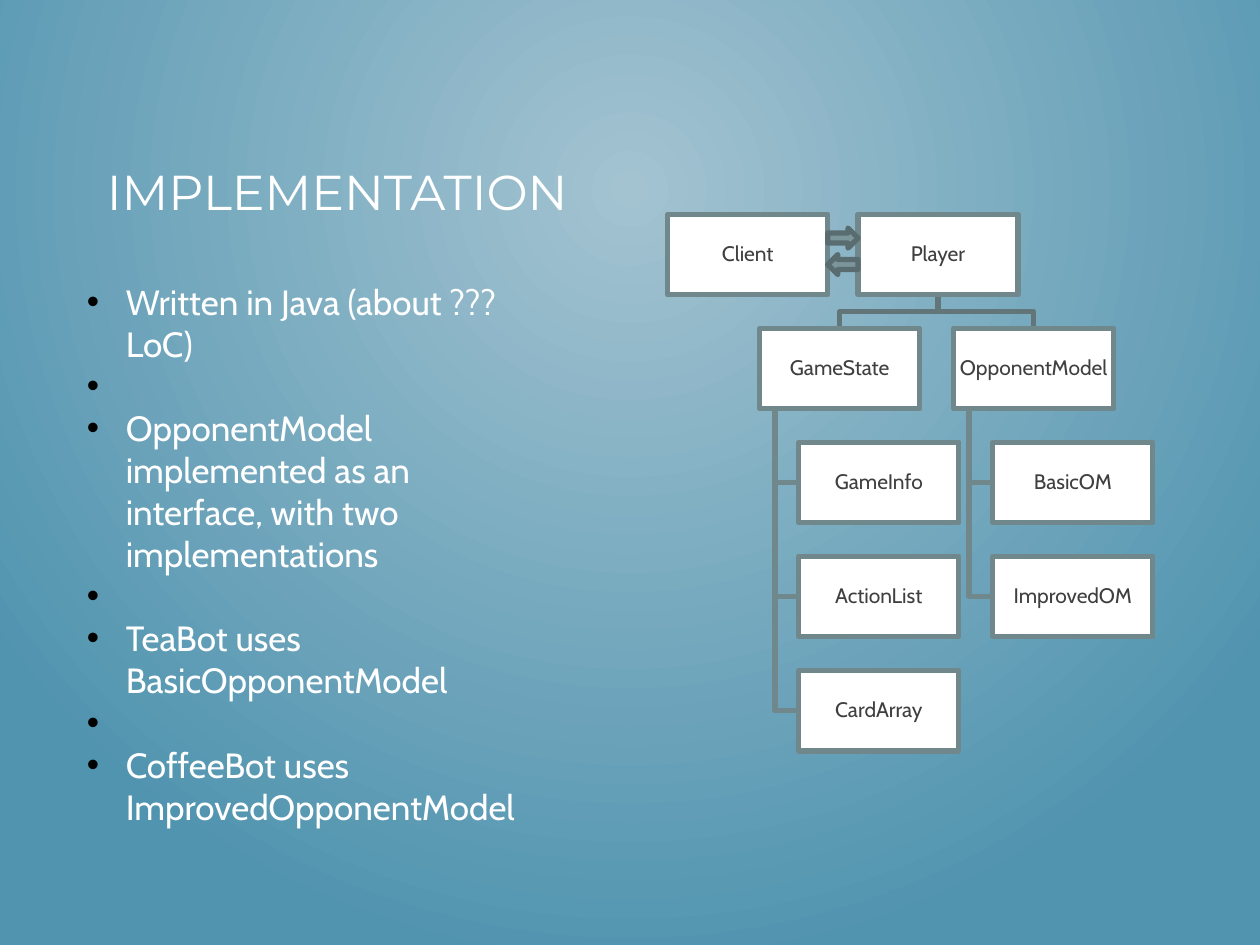
from pptx import Presentation
from pptx.dml.color import RGBColor
from pptx.enum.shapes import MSO_SHAPE as Shape
from pptx.enum.text import MSO_ANCHOR as Anchor, PP_ALIGN as Align
from pptx.oxml import parse_xml
from pptx.oxml.ns import nsdecls, qn
from pptx.util import Inches, Pt

WHITE = RGBColor(0xFF, 0xFF, 0xFF)
LABEL = RGBColor(0x3F, 0x3F, 0x3F)
BORDER = RGBColor(0x70, 0x87, 0x8B)
TOP_LINK = RGBColor(0x62, 0x76, 0x7A)
ARROW_FILL = RGBColor(0x7C, 0x95, 0x9A)
ARROW_LINE = RGBColor(0x59, 0x6C, 0x70)
GLOW = RGBColor(0xA3, 0xC3, 0xD1)
EDGE = RGBColor(0x51, 0x94, 0xAF)

BOX_W, BOX_H = 1.27, 0.64
TOP, ROW_PITCH = 1.7, 3.62 / 4
CLIENT_X, PLAYER_X = 5.3, 6.81
CHILD_INDENT, TRUNK_INDENT = 0.31, 0.12
LINE_WIDTH = Pt(3)

prs = Presentation()
prs.slide_width, prs.slide_height = Inches(10), Inches(7.5)
slide = prs.slides.add_slide(prs.slide_layouts[6])
shapes = slide.shapes

# Radial background, brightest near the top centre
backdrop = slide.background.fill
backdrop.gradient()
for stop, color, position in zip(backdrop.gradient_stops, (GLOW, EDGE), (0, 1)):
    stop.color.rgb = color
    stop.position = position
gradient = next(slide.element.iter(qn("a:gradFill")))
gradient.replace(gradient.find(qn("a:lin")), parse_xml(
    f'<a:path {nsdecls("a")} path="circle">'
    '<a:fillToRect l="50000" t="20000" r="50000" b="80000"/></a:path>'))


def add_link(points, color):
    builder = shapes.build_freeform(*map(Inches, points[0]), scale=1.0)
    builder.add_line_segments(
        [(Inches(x), Inches(y)) for x, y in points[1:]], close=False)
    link = builder.convert_to_shape()
    link.fill.background()
    link.line.color.rgb = color
    link.line.width = LINE_WIDTH
    link.shadow.inherit = False


def add_block(kind, x, y, width, height, fill, line):
    block = shapes.add_shape(kind, *map(Inches, (x, y, width, height)))
    block.fill.solid()
    block.fill.fore_color.rgb = fill
    block.line.color.rgb = line
    block.line.width = LINE_WIDTH
    block.shadow.inherit = False
    return block


# Class tree: links first, then the boxes over them
branches = [
    (6.03, "GameState", ["GameInfo", "ActionList", "CardArray"]),
    (7.57, "OpponentModel", ["BasicOM", "ImprovedOM"]),
]
boxes = [("Client", CLIENT_X, TOP), ("Player", PLAYER_X, TOP)]
player_mid = PLAYER_X + BOX_W / 2
player_bottom = TOP + BOX_H
branch_top = TOP + ROW_PITCH
bend_y = (player_bottom + branch_top) / 2

for branch_x, branch_name, children in branches:
    branch_mid = branch_x + BOX_W / 2
    trunk_x = branch_x + TRUNK_INDENT
    child_x = branch_x + CHILD_INDENT
    add_link([(player_mid, player_bottom), (player_mid, bend_y),
              (branch_mid, bend_y), (branch_mid, branch_top)], TOP_LINK)
    boxes.append((branch_name, branch_x, branch_top))
    for level, child in enumerate(children, start=2):
        child_top = TOP + level * ROW_PITCH
        child_mid = child_top + BOX_H / 2
        add_link([(trunk_x, branch_top + BOX_H), (trunk_x, child_mid),
                  (child_x, child_mid)], BORDER)
        boxes.append((child, child_x, child_top))

for name, x, y in boxes:
    frame = add_block(Shape.RECTANGLE, x, y, BOX_W, BOX_H, WHITE, BORDER).text_frame
    frame.word_wrap = True
    frame.vertical_anchor = Anchor.MIDDLE
    frame.margin_left = frame.margin_right = Inches(0.01)
    frame.margin_top = frame.margin_bottom = Inches(0.01)
    paragraph = frame.paragraphs[0]
    paragraph.alignment = Align.CENTER
    paragraph.line_spacing = 0.9
    paragraph.space_after = Pt(5)
    run = paragraph.add_run()
    run.text = name
    run.font.name, run.font.size = "Cabin", Pt(12)
    run.font.color.rgb = LABEL

# Client and Player exchange messages both ways
for arrow, y in ((Shape.RIGHT_ARROW, 1.81), (Shape.LEFT_ARROW, 2.02)):
    add_block(arrow, CLIENT_X + BOX_W, y, 0.24, 0.16, ARROW_FILL, ARROW_LINE)

title = shapes.add_textbox(Inches(0.75), Inches(1.23), Inches(4.41), Inches(2.16))
title.text_frame.word_wrap = True
run = title.text_frame.paragraphs[0].add_run()
run.text = "IMPLEMENTATION"
run.font.name, run.font.size = "Montserrat", Pt(28)
run.font.color.rgb = WHITE

# The list shows a bare bullet between its points
points = [
    "Written in Java (about ??? LoC)",
    " ",
    "OpponentModel implemented as an interface, with two implementations",
    " ",
    "TeaBot uses BasicOpponentModel",
    " ",
    "CoffeeBot uses ImprovedOpponentModel",
]
body = shapes.add_textbox(Inches(0.59), Inches(2.18), Inches(3.78), Inches(4.77))
body.text_frame.word_wrap = True
for index, point in enumerate(points):
    frame = body.text_frame
    paragraph = frame.add_paragraph() if index else frame.paragraphs[0]
    properties = paragraph._p.get_or_add_pPr()
    properties.set("marL", str(Inches(0.31)))
    properties.set("indent", str(Inches(-0.31)))
    for bullet_part in (
        '<a:buClr {}><a:srgbClr val="000000"/></a:buClr>',
        '<a:buFont {} typeface="Arial"/>',
        '<a:buChar {} char="•"/>',
    ):
        properties.append(parse_xml(bullet_part.format(nsdecls("a"))))
    run = paragraph.add_run()
    run.text = point
    run.font.name, run.font.size = "Cabin", Pt(20)
    run.font.color.rgb = WHITE

prs.save("out.pptx")
